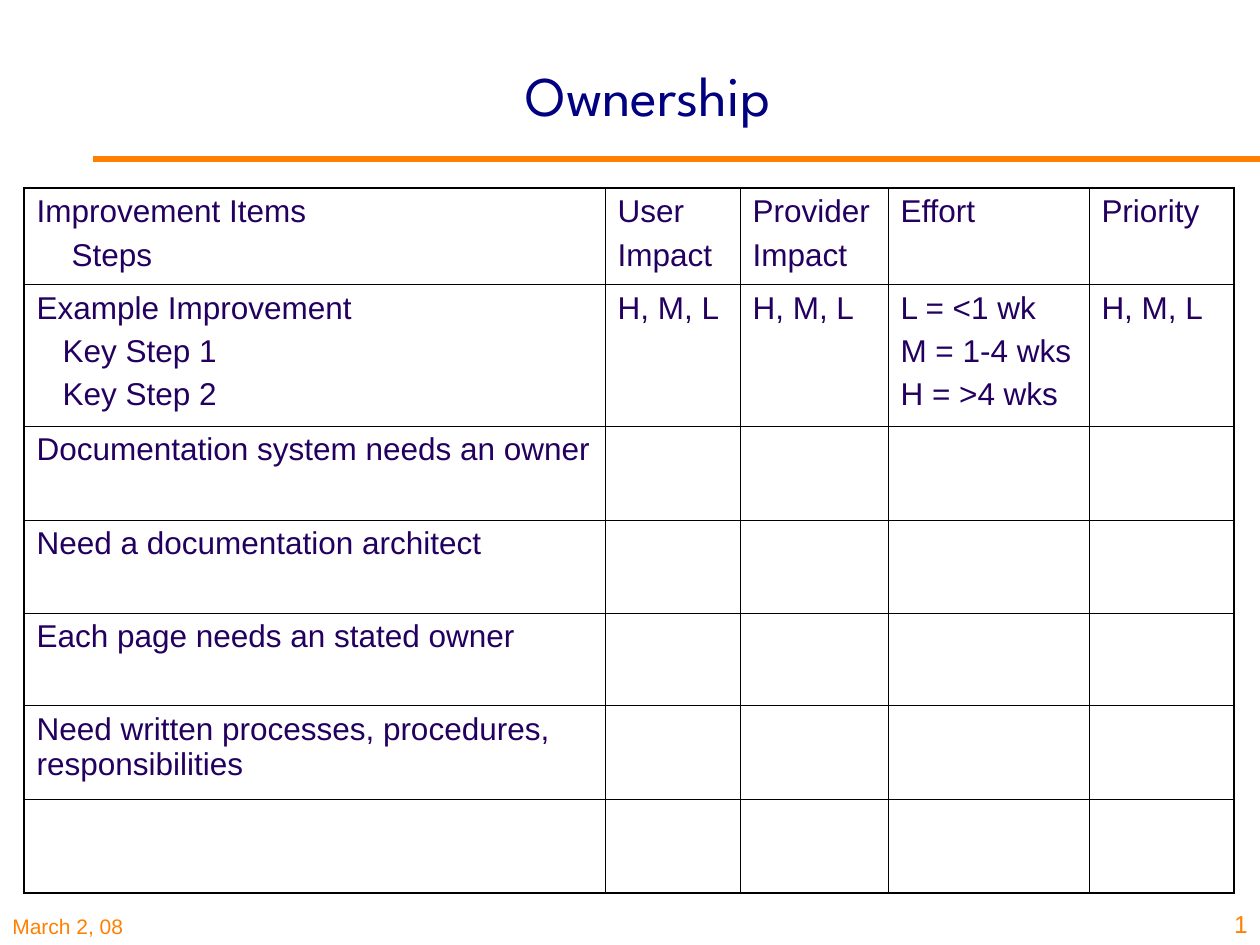
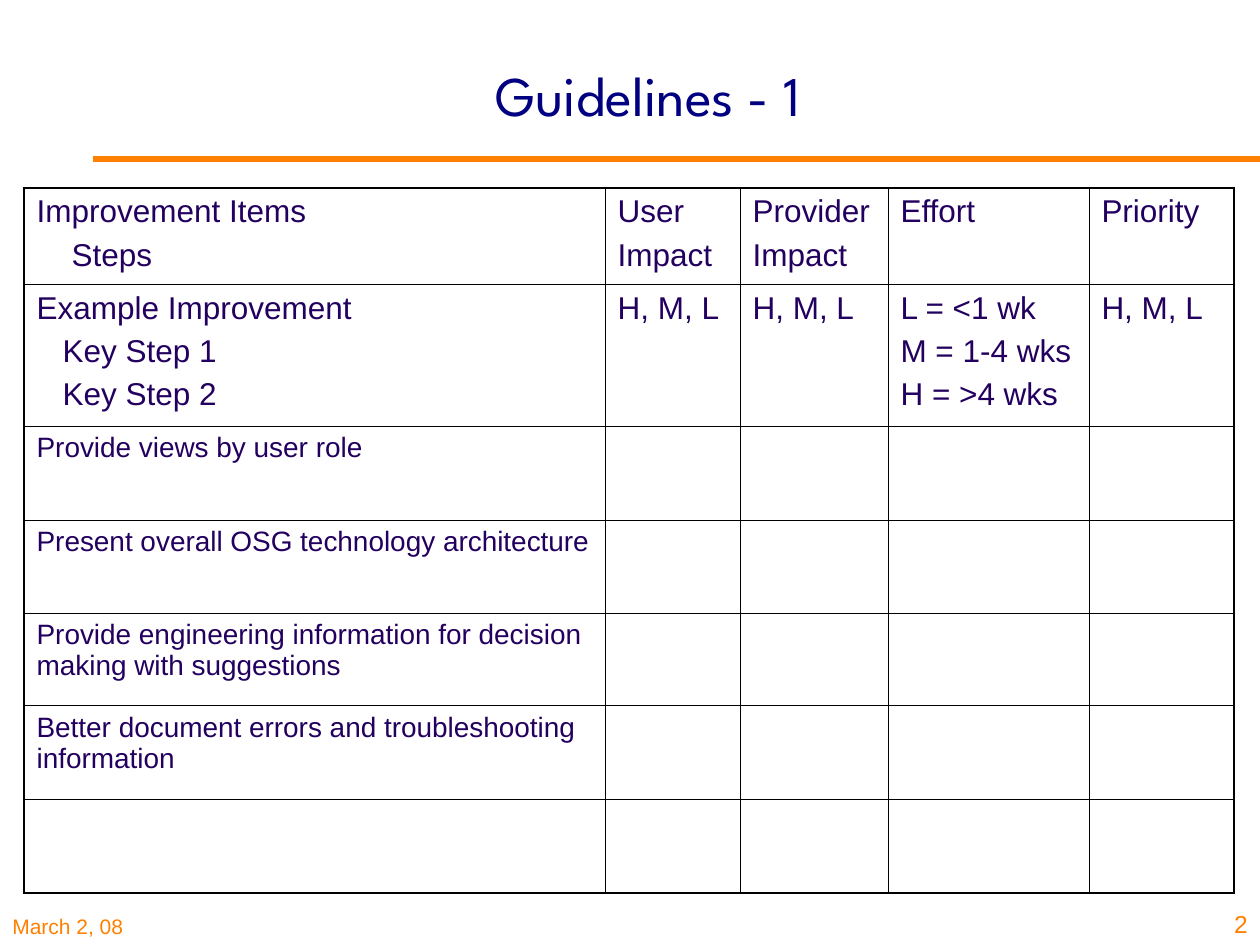
from lxml.etree import SubElement
from pptx import Presentation
from pptx.dml.color import RGBColor
from pptx.enum.shapes import MSO_CONNECTOR
from pptx.enum.text import MSO_ANCHOR as ANCHOR, MSO_AUTO_SIZE, PP_ALIGN as ALIGN
from pptx.oxml.ns import qn
from pptx.util import Inches, Pt

# Shared look
NAVY, INDIGO, ORANGE, BLACK = "000080", "23005F", "FF8000", "000000"
TITLE_FONT, BODY_FONT = "League Spartan", "Arial"
OUTER_PT, INNER_PT = 1.08, 0.45

# Boxes in px: left, top, width, height
SLIDE_W, SLIDE_H = 1260, 945
TITLE_BOX = (169, 15, 958, 158)
RULE_BOX = (93, 159, 1167, 0)
TABLE_BOX = (24, 188, 1210, 704)
DATE_BOX = (0, 892, 312, 53)
NUMBER_BOX = (1202, 882, 58, 63)
COL_WIDTHS = (581, 135, 148, 201, 145)
ROW_HEIGHTS = (96, 141, 94, 93, 93, 94, 93)

# Each cell is a list of (text, indent in px)
HEADER = [[("Improvement Items", 0), ("Steps", 35)],
          [("User", 0), ("Impact", 0)],
          [("Provider", 0), ("Impact", 0)],
          [("Effort", 0)],
          [("Priority", 0)]]
RATING = [("H, M, L", 0)]
EXAMPLE = [[("Example Improvement", 0), ("Key Step 1", 26), ("Key Step 2", 26)],
           RATING,
           RATING,
           [("L = <1 wk", 0), ("M = 1-4 wks", 0), ("H = >4 wks", 0)],
           RATING]

# Title, size of the items, items
SLIDES = [
    ("Ownership", 18, [
        "Documentation system needs an owner",
        "Need a documentation architect",
        "Each page needs an stated owner",
        "Need written processes, procedures, responsibilities"]),
    ("Guidelines - 1", 16, [
        "Provide views by user role",
        "Present overall OSG technology architecture",
        "Provide engineering information for decision making with suggestions",
        "Better document errors and troubleshooting information"]),
]


def px(n):
    return round(n * Inches(1) / 126)


def rgb(color):
    return RGBColor.from_string(color)


def add_run(p, text, size, color, font=BODY_FONT):
    r = p.add_run()
    r.text = text
    r.font.size, r.font.name = Pt(size), font
    r.font.color.rgb = rgb(color)


def add_title(s, box, text):
    sp = s.shapes.title
    sp.left, sp.top, sp.width, sp.height = map(px, box)
    tf = sp.text_frame
    tf.auto_size = MSO_AUTO_SIZE.NONE
    tf.vertical_anchor = ANCHOR.MIDDLE
    p = tf.paragraphs[0]
    p.alignment = ALIGN.CENTER
    add_run(p, text, 32, NAVY, TITLE_FONT)


def add_rule(s, box):
    left, top, width, height = box
    line = s.shapes.add_connector(MSO_CONNECTOR.STRAIGHT, px(left), px(top),
                                  px(left + width), px(top + height))
    line.line.color.rgb = rgb(ORANGE)
    line.line.width = Pt(3)
    SubElement(line._element.spPr, qn("a:effectLst"))


def add_footer_text(s, box, text, size, align):
    tf = s.shapes.add_textbox(*map(px, box)).text_frame
    tf.word_wrap = True
    tf.vertical_anchor = ANCHOR.BOTTOM
    p = tf.paragraphs[0]
    p.alignment = align
    add_run(p, text, size, ORANGE)


def set_borders(cell, outer):
    """Draw all four edges, heavier where the edge is on the outside."""
    tcPr = cell._tc.get_or_add_tcPr()
    for side in ("L", "R", "T", "B"):
        width = OUTER_PT if side in outer else INNER_PT
        ln = SubElement(tcPr, qn(f"a:ln{side}"), w=str(Pt(width)))
        fill = SubElement(ln, qn("a:solidFill"))
        SubElement(fill, qn("a:srgbClr"), val=BLACK)


def fill_cell(cell, lines, size):
    tf = cell.text_frame
    for i, (text, indent) in enumerate(lines):
        p = tf.add_paragraph() if i else tf.paragraphs[0]
        if i:
            p.space_before = Pt(size / 4)
        if indent:
            p._p.get_or_add_pPr().set("marL", str(px(indent)))
        add_run(p, text, size, INDIGO)


def add_priority_table(s, box, items, item_size):
    n_rows, n_cols = len(ROW_HEIGHTS), len(COL_WIDTHS)
    table = s.shapes.add_table(n_rows, n_cols, *map(px, box)).table
    table.first_row = table.horz_banding = False
    for column, width in zip(table.columns, COL_WIDTHS):
        column.width = px(width)
    for row, height in zip(table.rows, ROW_HEIGHTS):
        row.height = px(height)

    # Borders and clear fills
    for r in range(n_rows):
        for c in range(n_cols):
            edges = {"L": c == 0, "R": c == n_cols - 1,
                     "T": r == 0, "B": r == n_rows - 1}
            cell = table.cell(r, c)
            set_borders(cell, [side for side in edges if edges[side]])
            cell.fill.background()

    # Header and example rows, then the items in the first column
    for r, row in enumerate((HEADER, EXAMPLE)):
        for c, lines in enumerate(row):
            fill_cell(table.cell(r, c), lines, 18)
    for r, item in enumerate(items, start=2):
        fill_cell(table.cell(r, 0), [(item, 0)], item_size)


def add_priority_slide(prs, number, title, item_size, items):
    s = prs.slides.add_slide(prs.slide_layouts.get_by_name("Title Only"))
    add_footer_text(s, DATE_BOX, "March 2, 08", 12, ALIGN.LEFT)
    add_rule(s, RULE_BOX)
    add_title(s, TITLE_BOX, title)
    add_priority_table(s, TABLE_BOX, items, item_size)
    add_footer_text(s, NUMBER_BOX, str(number), 14, ALIGN.RIGHT)


def main():
    prs = Presentation()
    prs.slide_width, prs.slide_height = px(SLIDE_W), px(SLIDE_H)
    for number, content in enumerate(SLIDES, start=1):
        add_priority_slide(prs, number, *content)
    prs.save("out.pptx")


if __name__ == "__main__":
    main()
